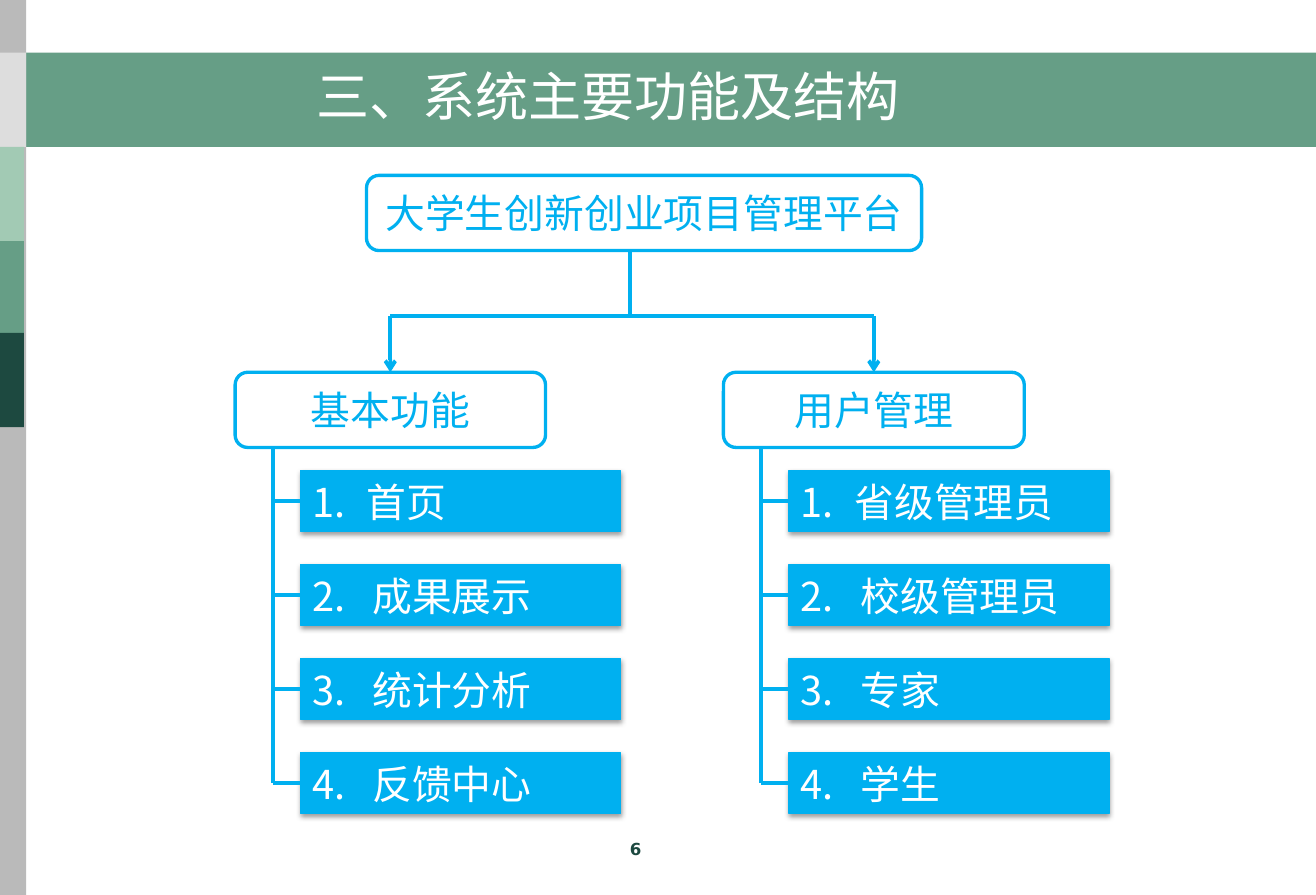
from lxml.etree import SubElement
from pptx import Presentation
from pptx.dml.color import RGBColor
from pptx.enum.shapes import MSO_CONNECTOR, MSO_SHAPE
from pptx.enum.text import MSO_ANCHOR, MSO_AUTO_SIZE, PP_ALIGN
from pptx.oxml.ns import qn
from pptx.util import Cm, Inches, Pt

COLORS = {
    "band": "669E86",
    "rail": "BABABA",
    "pale": "DDDDDD",
    "mint": "A2CAB4",
    "dark": "1D4940",
    "blue": "00B0F0",
    "white": "FFFFFF",
    "black": "000000",
}
SANS, HAN = "DejaVu Sans", "Noto Sans CJK SC"
WIDTH, HEIGHT = Cm(28), Inches(7.5)
CELL = Inches(0.1)
COLS, ROWS = WIDTH / CELL, HEIGHT / CELL


def grid(*cells):
    return [round(cell * CELL) for cell in cells]


def color(name):
    return RGBColor.from_string(COLORS[name])


def write(shape, text, size, hue, font=HAN, align=PP_ALIGN.CENTER, bold=False):
    frame = shape.text_frame
    frame.text = text
    frame.vertical_anchor = MSO_ANCHOR.MIDDLE
    para = frame.paragraphs[0]
    para.alignment = align
    run = para.runs[0]
    run.font.size = Pt(size)
    run.font.name = font
    run.font.bold = bold
    run.font.color.rgb = color(hue)
    SubElement(run.font._element, qn("a:ea")).set("typeface", HAN)
    return para


def block(slide, box, fill, line=None, width=1, kind=MSO_SHAPE.RECTANGLE):
    shape = slide.shapes.add_shape(kind, *grid(*box))
    shape.shadow.inherit = False
    shape.fill.solid()
    shape.fill.fore_color.rgb = color(fill)
    if line:
        shape.line.color.rgb = color(line)
        shape.line.width = Pt(width)
    else:
        shape.line.fill.background()
    return shape


def link(slide, start, end, target=None, site=0, arrow=False):
    line = slide.shapes.add_connector(MSO_CONNECTOR.STRAIGHT, *grid(*start, *end))
    line.line.color.rgb = color("blue")
    line.line.width = Pt(2.25)
    if arrow:
        SubElement(line.line._get_or_add_ln(), qn("a:tailEnd")).set("type", "arrow")
    SubElement(line._element.spPr, qn("a:effectLst"))
    if target is not None:
        line.end_connect(target, site)


def node(slide, box, text):
    shape = block(slide, box, "white", "blue", 2, MSO_SHAPE.ROUNDED_RECTANGLE)
    write(shape, text, 24, "blue")
    shape.text_frame.word_wrap = False
    return shape


def shade(shape):
    effect = shape._element.spPr.find(qn("a:effectLst"))
    outer = SubElement(effect, qn("a:outerShdw"))
    for key, value in (("blurRad", Pt(3.1)), ("dist", Pt(1.6)), ("dir", 5400000)):
        outer.set(key, str(value))
    outer.set("rotWithShape", "0")
    tint = SubElement(outer, qn("a:srgbClr"))
    tint.set("val", COLORS["black"])
    SubElement(tint, qn("a:alpha")).set("val", "38000")


def item(slide, box, text, count):
    shape = block(slide, box, "blue", "blue", 0.75)
    shade(shape)
    para = write(shape, text, 24, "white", align=PP_ALIGN.LEFT)
    indent = Inches(0.45 if count == 1 else 0.5)
    props = para._p.get_or_add_pPr()
    props.set("marL", str(indent))
    props.set("indent", str(-indent))
    number = SubElement(props, qn("a:buAutoNum"))
    number.set("type", "arabicPeriod")
    number.set("startAt", str(count))
    return shape


def branch(slide, box, name, items):
    left, top, width, height = box
    head = node(slide, box, name)
    stem, tall, step = left + 3.15, 5.1, 7.88
    for count, text in enumerate(items, 1):
        row = top + 8.25 + (count - 1) * step
        part = item(slide, (left + 5.5, row, 26.8, tall), text, count)
        middle = row + tall / 2
        link(slide, (stem, middle), (left + 5.5, middle), part, 1)
    link(slide, (stem, top + height), (stem, middle))
    return head


def tree(slide, box):
    left, top, width, height = box
    tall, trunk, fork, low = 6.3, left + 33.1, top + 11.8, top + 16.5
    node(slide, (left + 11, top, 46.5, tall), "大学生创新创业项目管理平台")
    link(slide, (trunk, top + tall), (trunk, fork))
    groups = (
        (left, 26, "基本功能", ("首页", "成果展示", "统计分析", "反馈中心")),
        (left + 40.9, 25.2, "用户管理", ("省级管理员", "校级管理员", "专家", "学生")),
    )
    mids = []
    for side, wide, name, items in groups:
        head = branch(slide, (side, low, wide, tall), name, items)
        mid = side + wide / 2
        link(slide, (mid, fork), (mid, low), head, 0, True)
        mids.append(mid)
    link(slide, (mids[0], fork), (mids[1], fork))


def banner(slide, box):
    left, top, width, height = box
    block(slide, box, "band")
    title = slide.shapes.title
    title.left, title.top, title.width, title.height = grid(left + 6.4, top + 0.5, 89.1, 6.2)
    write(title, "三、系统主要功能及结构", 32, "white", SANS)
    title.text_frame.auto_size = MSO_AUTO_SIZE.NONE
    slide.shapes._spTree.append(title._element)


def rail(slide, box):
    left, top, width, height = box
    block(slide, box, "rail")
    side = 7.9
    tiles = (("pale", 0, 4.4), ("mint", -0.2, 12.3), ("band", -0.2, 20.2), ("dark", -0.2, 27.9))
    for hue, shift, row in tiles:
        block(slide, (shift, top + row, 2.2, side), hue)


def footer(slide, box):
    text = slide.shapes.add_textbox(*grid(*box))
    text.text_frame.word_wrap = True
    write(text, "6", 10, "dark", SANS, bold=True)
    text.text_frame.vertical_anchor = MSO_ANCHOR.TOP


def main():
    deck = Presentation()
    deck.slide_width, deck.slide_height = WIDTH, HEIGHT
    slide = deck.slides.add_slide(deck.slide_layouts[5])
    banner(slide, (0, 4.4, COLS, 7.9))
    rail(slide, (-0.1, 0, 2.3, ROWS))
    footer(slide, (40.4, 69.8, 25.7, 3.5))
    tree(slide, (19.7, 14.7, 73.2, 53.6))
    deck.save("out.pptx")


if __name__ == "__main__":
    main()
